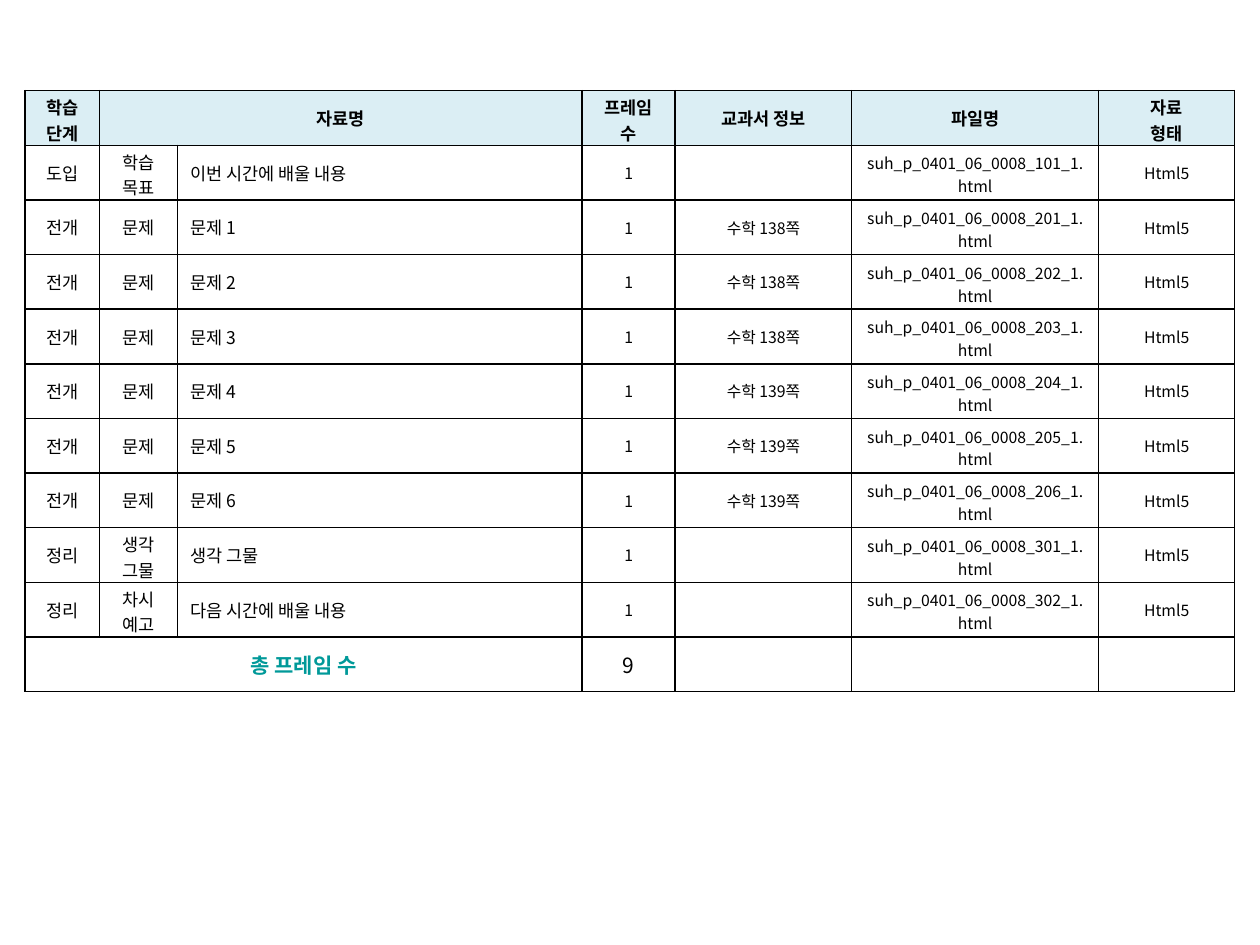
from lxml import etree
from pptx import Presentation
from pptx.dml.color import RGBColor
from pptx.enum.text import MSO_ANCHOR, PP_ALIGN
from pptx.oxml.ns import qn
from pptx.util import Inches, Pt

CENTER, LEFT = PP_ALIGN.CENTER, PP_ALIGN.LEFT
MIDDLE = MSO_ANCHOR.MIDDLE
FONT = "Noto Sans CJK KR"
COLORS = {"text": "000000", "border": "000000", "header": "DBEEF4", "total": "009999"}

COL_WIDTHS = [0.59, 0.62, 3.21, 0.74, 1.4, 1.96, 1.08]
COL_SIZES = [10, 10, 10, 9, 9, 9, 9]
TITLE_COL = 2
TABLE_HEIGHT = 4.77

# Top and bottom margins that let two lines of each text size fit in a row
TWO_LINE_MARGINS = {9: (0.05, 0.02), 10: (0.03, 0)}
WRAPPING_LABELS = {"학습 단계", "프레임 수", "차시 예고"}

HEADER = ["학습 단계", "자료명", "", "프레임 수", "교과서 정보", "파일명", "자료\n형태"]
PROBLEMS = [("전개", "문제", f"문제 {n}", f"수학 {138 if n <= 3 else 139}쪽", 200 + n)
            for n in range(1, 7)]
LESSONS = [
    ("도입", "학습\n목표", "이번 시간에 배울 내용", "", 101),
    *PROBLEMS,
    ("정리", "생각\n그물", "생각 그물", "", 301),
    ("정리", "차시 예고", "다음 시간에 배울 내용", "", 302),
]
TOTAL = ["총 프레임 수", "", "", str(len(LESSONS)), "", "", ""]


def takes_two_lines(text):
    return "\n" in text or text in WRAPPING_LABELS or text.endswith(".html")


class SlideBuilder:
    def __init__(self, slide):
        self.s = slide

    def table(self, left, top, widths, height, row_count):
        """Add a table with equal rows and no built-in banding."""
        frame = self.s.shapes.add_table(
            row_count, len(widths), Inches(left), Inches(top),
            Inches(sum(widths)), Inches(height))
        table = frame.table
        table.first_row = table.horz_banding = False
        for column, width in zip(table.columns, widths):
            column.width = Inches(width)
        for row in table.rows:
            row.height = Inches(height / row_count)
        return table

    def cell(self, cell, text, size, color="text", bold=False, align=CENTER, fill=None):
        cell.text = text
        cell.vertical_anchor = MIDDLE
        if takes_two_lines(text):
            top, bottom = TWO_LINE_MARGINS[size]
            cell.margin_top, cell.margin_bottom = Inches(top), Inches(bottom)
        for p in cell.text_frame.paragraphs:
            p.alignment = align
            p.font.size, p.font.bold, p.font.name = Pt(size), bold, FONT
            p.font.color.rgb = RGBColor.from_string(COLORS[color])
            default = p._p.pPr.find(qn("a:defRPr"))
            etree.SubElement(default, qn("a:ea"), typeface=FONT)
            if not text:
                etree.SubElement(p._p, qn("a:endParaRPr"), sz=str(size * 100))
        self.borders(cell)
        if fill:
            cell.fill.solid()
            cell.fill.fore_color.rgb = RGBColor.from_string(COLORS[fill])
        else:
            cell.fill.background()

    def borders(self, cell):
        tc_pr = cell._tc.get_or_add_tcPr()
        for side in ("lnL", "lnR", "lnT", "lnB"):
            line = etree.SubElement(tc_pr, qn(f"a:{side}"), w=str(Pt(1)))
            fill = etree.SubElement(line, qn("a:solidFill"))
            etree.SubElement(fill, qn("a:srgbClr"), val=COLORS["border"])


def main():
    prs = Presentation()
    prs.slide_width, prs.slide_height = Inches(10), Inches(7.5)
    builder = SlideBuilder(prs.slides.add_slide(prs.slide_layouts[6]))

    last = len(LESSONS) + 1
    table = builder.table(0.2, 0.72, COL_WIDTHS, TABLE_HEIGHT, last + 1)

    for col, text in enumerate(HEADER):
        builder.cell(table.cell(0, col), text, 10, bold=True, fill="header")

    for row, (stage, kind, title, pages, number) in enumerate(LESSONS, 1):
        file_name = f"suh_p_0401_06_0008_{number}_1.html"
        values = [stage, kind, title, "1", pages, file_name, "Html5"]
        for col, (text, size) in enumerate(zip(values, COL_SIZES)):
            builder.cell(table.cell(row, col), text, size,
                         align=LEFT if col == TITLE_COL else CENTER)

    for col, text in enumerate(TOTAL):
        label = col == 0
        builder.cell(table.cell(last, col), text, 12,
                     color="total" if label else "text", bold=label)

    table.cell(0, 1).merge(table.cell(0, 2))
    table.cell(last, 0).merge(table.cell(last, 2))
    prs.save("out.pptx")


if __name__ == "__main__":
    main()
